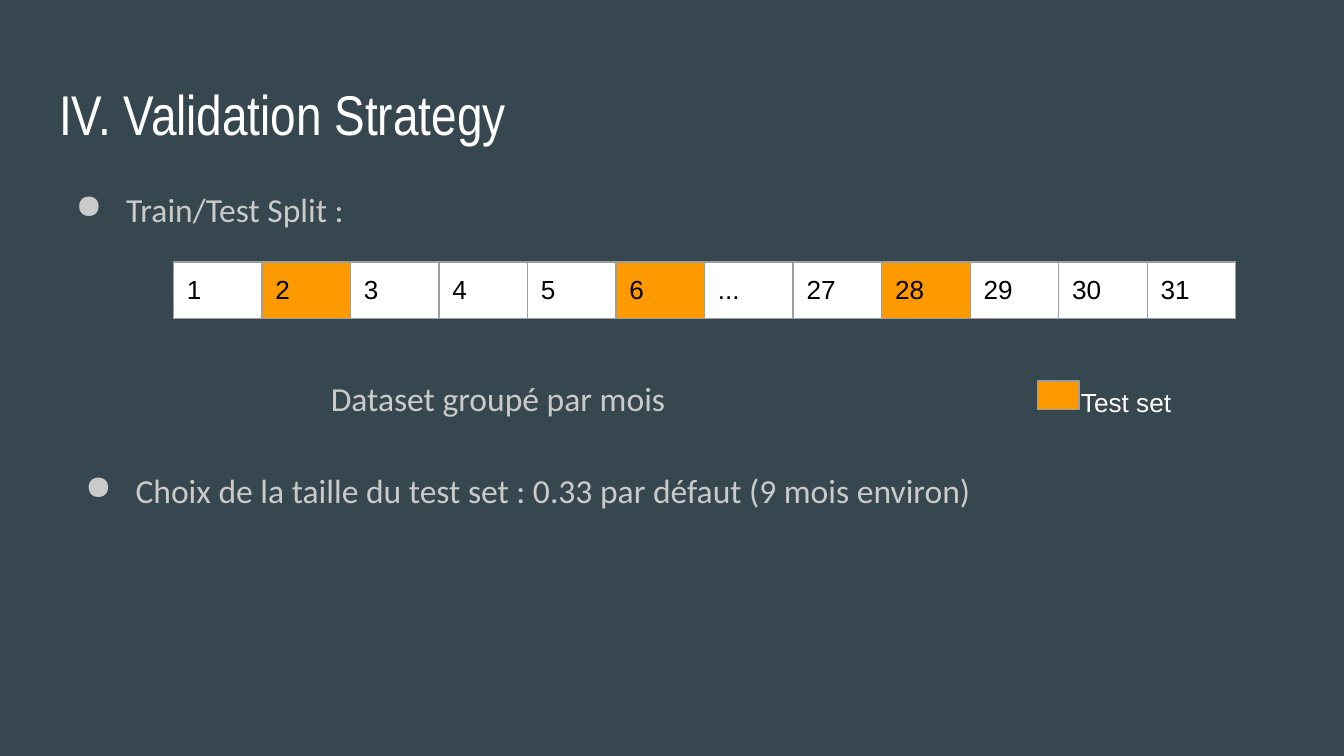
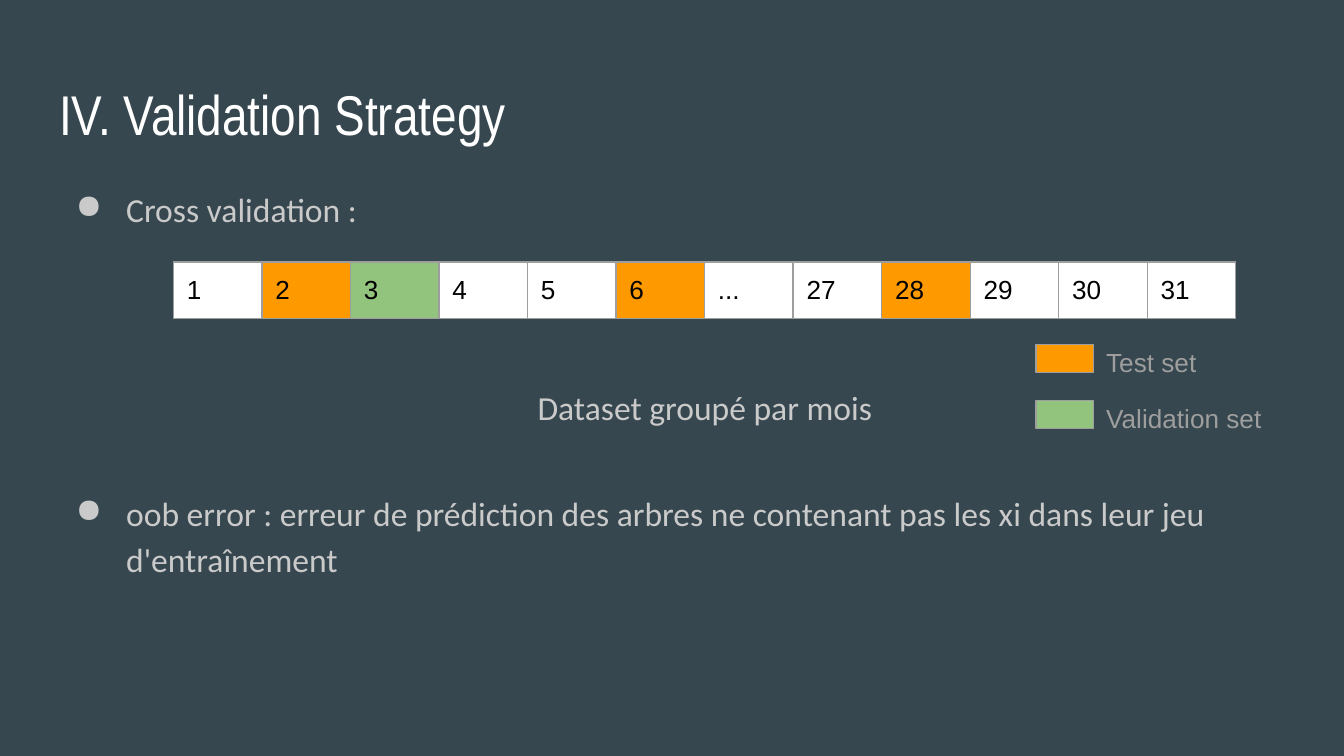
from dataclasses import dataclass
from typing import Any

from lxml.etree import SubElement
from pptx import Presentation
from pptx.dml.color import RGBColor
from pptx.enum.shapes import MSO_SHAPE
from pptx.enum.text import MSO_ANCHOR, MSO_AUTO_SIZE, PP_ALIGN
from pptx.oxml.ns import qn
from pptx.slide import Slide
from pptx.text.text import TextFrame
from pptx.util import Pt

BACKGROUND, WHITE, BLACK = "37474F", "FFFFFF", "000000"
BODY_GRAY, LINE_GRAY = "CACACA", "9E9E9E"
TEST_ORANGE, VALIDATION_GREEN = "FF9900", "93C47D"
LINE_WIDTH = 0.75
TITLE = "IV. Validation Strategy"
MONTHS = ["1", "2", "3", "4", "5", "6", "...", "27", "28", "29", "30", "31"]
TEST_MONTHS = dict.fromkeys(["2", "6", "28"], TEST_ORANGE)

INSET = Pt(7.2)
FRAME_FORMAT = {
    "word_wrap": True,
    "auto_size": MSO_AUTO_SIZE.NONE,
    "vertical_anchor": MSO_ANCHOR.TOP,
    "margin_left": INSET,
    "margin_top": INSET,
    "margin_right": INSET,
    "margin_bottom": INSET,
}


@dataclass(frozen=True)
class Box:
    left: float
    top: float
    width: float
    height: float

    def lengths(self) -> tuple[Pt, Pt, Pt, Pt]:
        return Pt(self.left), Pt(self.top), Pt(self.width), Pt(self.height)


@dataclass(frozen=True)
class TextStyle:
    font: str
    size: float
    color: str
    alignment: PP_ALIGN = PP_ALIGN.LEFT
    line_spacing: float = 1.0
    bullet: str = ""


@dataclass(frozen=True)
class TextItem:
    text: str
    box: Box
    style: TextStyle


@dataclass(frozen=True)
class LegendEntry:
    color: str
    swatch: Box
    label: TextItem


@dataclass(frozen=True)
class StrategySlide:
    month_colors: dict[str, str]
    texts: list[TextItem]
    legend: list[LegendEntry]


TITLE_STYLE = TextStyle("Arial Narrow", 30, WHITE)
BULLET_STYLE = TextStyle("Calibri", 18, BODY_GRAY, line_spacing=1.15, bullet="●")
CAPTION_STYLE = TextStyle("Calibri", 18, BODY_GRAY, PP_ALIGN.CENTER, 1.15)
CELL_STYLE = TextStyle("Arial", 14, BLACK)
LIGHT_LABEL_STYLE = TextStyle("Arial", 14, WHITE)
GRAY_LABEL_STYLE = TextStyle("Arial", 14, LINE_GRAY)

TITLE_BOX = Box(24.5, 35.3, 671, 45.4)
TABLE_BOX = Box(92.9, 140.4, 569.4, 30.2)
CAPTION = "Dataset groupé par mois"


def legend_row(index: int, color: str, text: str) -> LegendEntry:
    top = 178.5 + 30 * index
    label = TextItem(text, Box(585.5, top, 110, 26.6), GRAY_LABEL_STYLE)
    return LegendEntry(color, Box(555, top + 6, 31, 15.1), label)


SLIDES = [
    StrategySlide(
        TEST_MONTHS,
        [
            TextItem("Train/Test Split :", Box(24.5, 90.7, 671, 126), BULLET_STYLE),
            TextItem(
                "Choix de la taille du test set : 0.33 par défaut (9 mois environ)",
                Box(29.5, 241.2, 666, 126),
                BULLET_STYLE,
            ),
            TextItem(CAPTION, Box(155.6, 192.2, 222.5, 38.9), CAPTION_STYLE),
        ],
        [
            LegendEntry(
                TEST_ORANGE,
                Box(555.8, 204.2, 22.3, 15.1),
                TextItem("Test set", Box(572, 200, 90, 26.6), LIGHT_LABEL_STYLE),
            )
        ],
    ),
    StrategySlide(
        TEST_MONTHS | {"3": VALIDATION_GREEN},
        [
            TextItem("Cross validation :", Box(24.5, 90.7, 671, 87.8), BULLET_STYLE),
            TextItem(
                "oob error : erreur de prédiction des arbres ne contenant pas "
                "les xi dans leur jeu d'entraînement",
                Box(24.5, 253.4, 671, 72.7),
                BULLET_STYLE,
            ),
            TextItem(CAPTION, Box(266.4, 196.6, 222.5, 31), CAPTION_STYLE),
        ],
        [
            legend_row(0, TEST_ORANGE, "Test set"),
            legend_row(1, VALIDATION_GREEN, "Validation set"),
        ],
    ),
]


def apply_format(target: Any, values: dict[str, Any]) -> None:
    for name, value in values.items():
        setattr(target, name, value)


def paint(fill: Any, color: str) -> None:
    fill.solid()
    fill.fore_color.rgb = RGBColor.from_string(color)


def write_text(frame: TextFrame, text: str, style: TextStyle) -> None:
    frame.text = text
    paragraph = frame.paragraphs[0]
    apply_format(
        paragraph,
        {"alignment": style.alignment, "line_spacing": style.line_spacing},
    )
    font = paragraph.runs[0].font
    apply_format(font, {"name": style.font, "size": Pt(style.size)})
    paint(font.fill, style.color)
    if style.bullet:
        properties = paragraph._p.get_or_add_pPr()
        properties.set("marL", str(Pt(36)))
        properties.set("indent", str(Pt(-27)))
        bullet_color = SubElement(properties, qn("a:buClr"))
        SubElement(bullet_color, qn("a:srgbClr"), val=style.color)
        SubElement(properties, qn("a:buChar"), char=style.bullet)


def add_text(slide: Slide, item: TextItem) -> None:
    frame = slide.shapes.add_textbox(*item.box.lengths()).text_frame
    apply_format(frame, FRAME_FORMAT)
    write_text(frame, item.text, item.style)


def place_title(slide: Slide) -> None:
    title = slide.shapes.title
    names = ("left", "top", "width", "height")
    apply_format(title, dict(zip(names, TITLE_BOX.lengths())))
    apply_format(title.text_frame, FRAME_FORMAT)
    write_text(title.text_frame, TITLE, TITLE_STYLE)


def add_cell_borders(cell: Any) -> None:
    properties = cell._tc.get_or_add_tcPr()
    for side in ("lnL", "lnR", "lnT", "lnB"):
        line = SubElement(properties, qn(f"a:{side}"), w=str(Pt(LINE_WIDTH)))
        fill = SubElement(line, qn("a:solidFill"))
        SubElement(fill, qn("a:srgbClr"), val=LINE_GRAY)


def add_month_table(slide: Slide, month_colors: dict[str, str]) -> None:
    table = slide.shapes.add_table(1, len(MONTHS), *TABLE_BOX.lengths()).table
    apply_format(table, {"first_row": False, "horz_banding": False})
    margins = {name: value for name, value in FRAME_FORMAT.items() if "margin" in name}
    for column, month in enumerate(MONTHS):
        table.columns[column].width = Pt(TABLE_BOX.width / len(MONTHS))
        cell = table.cell(0, column)
        apply_format(cell, margins)
        add_cell_borders(cell)
        paint(cell.fill, month_colors.get(month, WHITE))
        write_text(cell.text_frame, month, CELL_STYLE)


def add_legend_entry(slide: Slide, entry: LegendEntry) -> None:
    swatch = slide.shapes.add_shape(MSO_SHAPE.RECTANGLE, *entry.swatch.lengths())
    swatch.shadow.inherit = False
    paint(swatch.fill, entry.color)
    paint(swatch.line.fill, LINE_GRAY)
    swatch.line.width = Pt(LINE_WIDTH)
    add_text(slide, entry.label)


def main() -> None:
    presentation = Presentation()
    apply_format(presentation, {"slide_width": Pt(720), "slide_height": Pt(405)})
    paint(presentation.slide_master.background.fill, BACKGROUND)
    title_only = presentation.slide_layouts.get_by_name("Title Only")
    for content in SLIDES:
        slide = presentation.slides.add_slide(title_only)
        place_title(slide)
        add_month_table(slide, content.month_colors)
        for item in content.texts:
            add_text(slide, item)
        for entry in content.legend:
            add_legend_entry(slide, entry)
    presentation.save("out.pptx")


if __name__ == "__main__":
    main()
